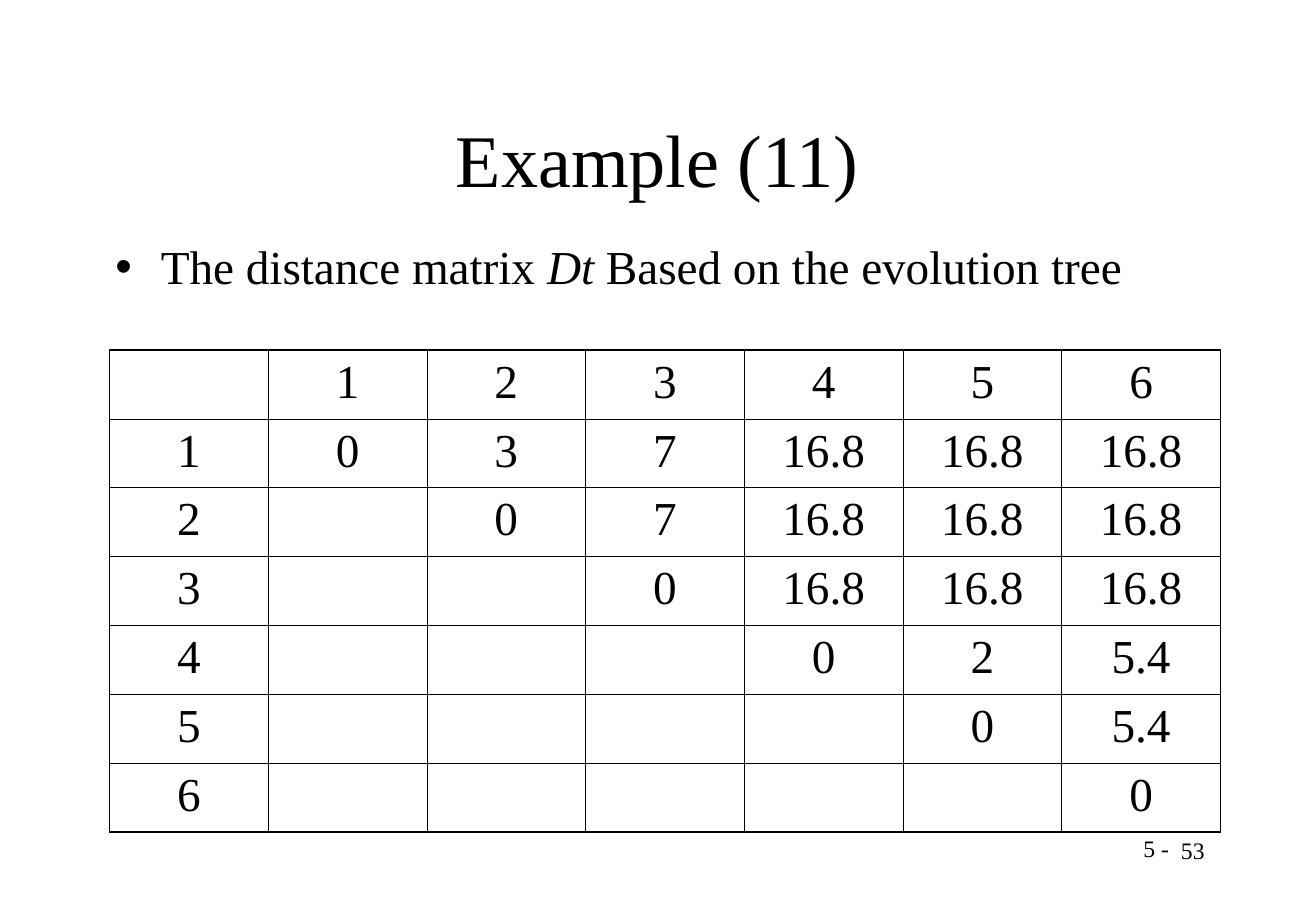
from lxml.etree import SubElement
from pptx import Presentation
from pptx.dml.color import RGBColor
from pptx.enum.text import MSO_ANCHOR, MSO_AUTO_SIZE, PP_ALIGN
from pptx.oxml.ns import qn
from pptx.util import Cm, Pt

COLORS = {"ink": "000000", "paper": "FFFFFF"}
FONT = "Times New Roman"
INNER_LINE, OUTER_LINE = Pt(0.45), Pt(1.08)

# Upper triangle of the distance matrix, each row starting on the diagonal
DISTANCES = [
    ["0", "3", "7", "16.8", "16.8", "16.8"],
    ["0", "7", "16.8", "16.8", "16.8"],
    ["0", "16.8", "16.8", "16.8"],
    ["0", "2", "5.4"],
    ["0", "5.4"],
    ["0"],
]


def place(shape, left, top, width, height):
    shape.left, shape.top = Cm(left), Cm(top)
    shape.width, shape.height = Cm(width), Cm(height)


def format_paragraph(paragraph, size, alignment):
    paragraph.alignment = alignment
    paragraph.space_before = Pt(0)
    paragraph.font.name = FONT
    paragraph.font.size = Pt(size)
    paragraph.font.color.rgb = RGBColor.from_string(COLORS["ink"])


def add_bullet(paragraph, indent):
    properties = paragraph._p.get_or_add_pPr()
    properties.set("marL", str(indent))
    properties.set("indent", str(-indent))
    SubElement(properties, qn("a:buChar"), char="•")


def fill_title(title):
    place(title, 2.06, 1.7, 23.39, 3.18)
    frame = title.text_frame
    frame.auto_size = MSO_AUTO_SIZE.NONE
    frame.vertical_anchor = MSO_ANCHOR.MIDDLE
    frame.text = "Example (11)"
    format_paragraph(frame.paragraphs[0], 44, PP_ALIGN.CENTER)


def fill_body(body):
    place(body, 2.16, 4.72, 22.53, 11.43)
    frame = body.text_frame
    frame.auto_size = MSO_AUTO_SIZE.NONE
    frame.margin_top = Cm(0.25)
    paragraph = frame.paragraphs[0]
    add_bullet(paragraph, Cm(0.95))
    format_paragraph(paragraph, 28, PP_ALIGN.LEFT)
    for text, italic in [
        ("The distance matrix ", False),
        ("Dt ", True),
        ("Based on the evolution tree", False),
    ]:
        run = paragraph.add_run()
        run.text = text
        run.font.italic = italic


def set_borders(cell, row, column, last):
    outer_sides = {
        "a:lnL": column == 0,
        "a:lnR": column == last,
        "a:lnT": row == 0,
        "a:lnB": row == last,
    }
    properties = cell._tc.get_or_add_tcPr()
    for tag, outer in outer_sides.items():
        width = OUTER_LINE if outer else INNER_LINE
        line = SubElement(properties, qn(tag), w=str(width))
        fill = SubElement(line, qn("a:solidFill"))
        SubElement(fill, qn("a:srgbClr"), val=COLORS["ink"])


def add_distance_table(slide):
    labels = [str(number) for number in range(1, len(DISTANCES) + 1)]
    rows = [[""] + labels]
    for index, (label, values) in enumerate(zip(labels, DISTANCES)):
        rows.append([label] + [""] * index + values)

    count = len(rows)
    column_width, row_height = Cm(3.32), Cm(1.44)
    table = slide.shapes.add_table(
        count, count, Cm(2.29), Cm(7.32), column_width * count, row_height * count
    ).table
    table.first_row = table.horz_banding = False
    for column in table.columns:
        column.width = column_width
    for row in table.rows:
        row.height = row_height

    for row, texts in enumerate(rows):
        for column, text in enumerate(texts):
            cell = table.cell(row, column)
            set_borders(cell, row, column, count - 1)
            cell.fill.background()
            if text:
                cell.text = text
                format_paragraph(cell.text_frame.paragraphs[0], 28, PP_ALIGN.CENTER)


def add_page_label(slide, text, left, top, width, alignment):
    label = slide.shapes.add_textbox(Cm(left), Cm(top), Cm(width), Cm(1.27))
    frame = label.text_frame
    frame.word_wrap = True
    frame.text = text
    format_paragraph(frame.paragraphs[0], 14, alignment)


def main():
    presentation = Presentation()
    presentation.slide_width, presentation.slide_height = Cm(27.53), Cm(19.05)
    slide = presentation.slides.add_slide(presentation.slide_layouts[1])
    slide.background.fill.solid()
    slide.background.fill.fore_color.rgb = RGBColor.from_string(COLORS["paper"])

    # Title and statement
    fill_title(slide.shapes.title)
    fill_body(slide.placeholders[1])

    # Distance matrix
    add_distance_table(slide)

    # Chapter and page number
    add_page_label(slide, "5 -", 20.85, 17.32, 6.68, PP_ALIGN.CENTER)
    add_page_label(slide, "53", 19.71, 17.35, 5.74, PP_ALIGN.RIGHT)

    presentation.save("out.pptx")


if __name__ == "__main__":
    main()
